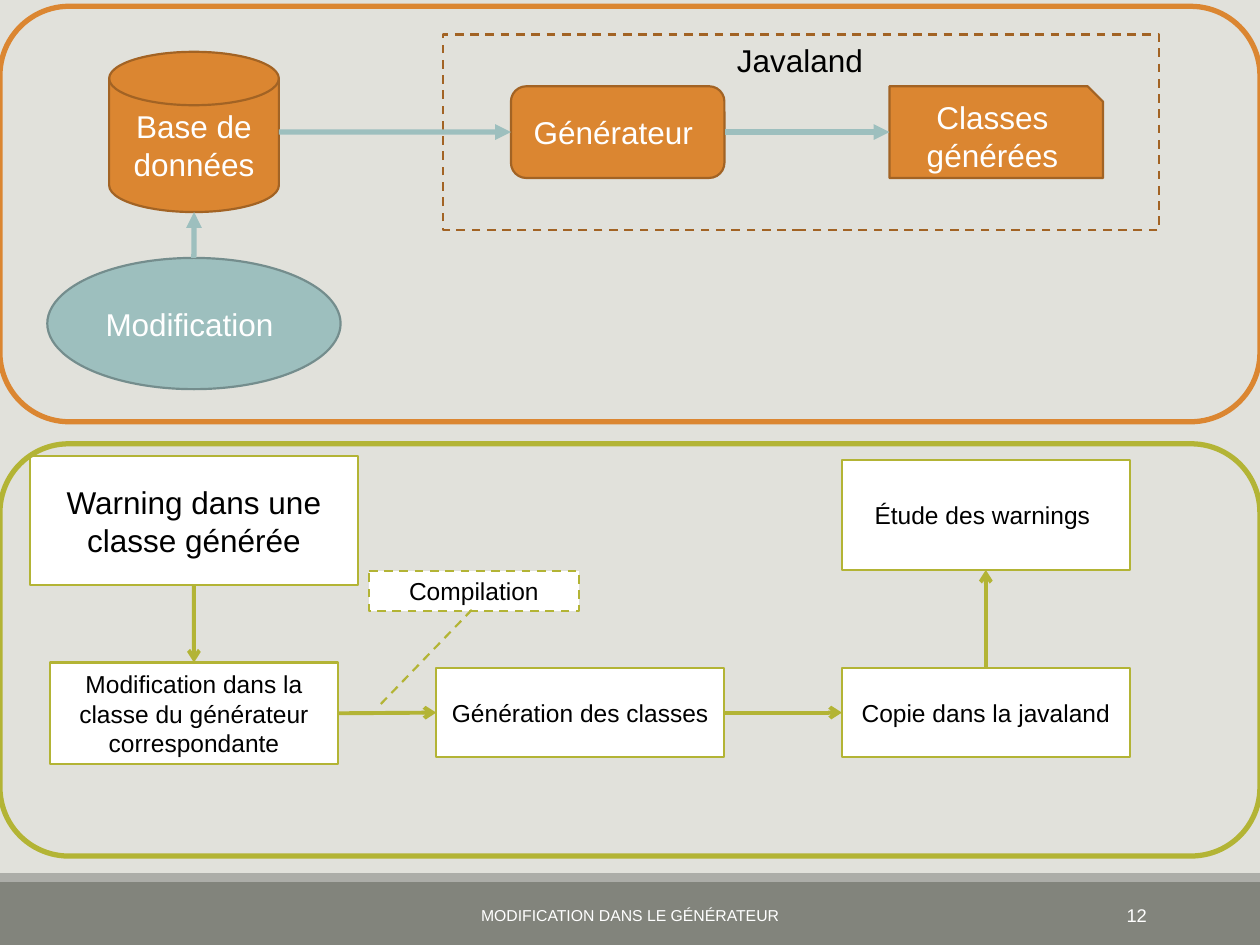
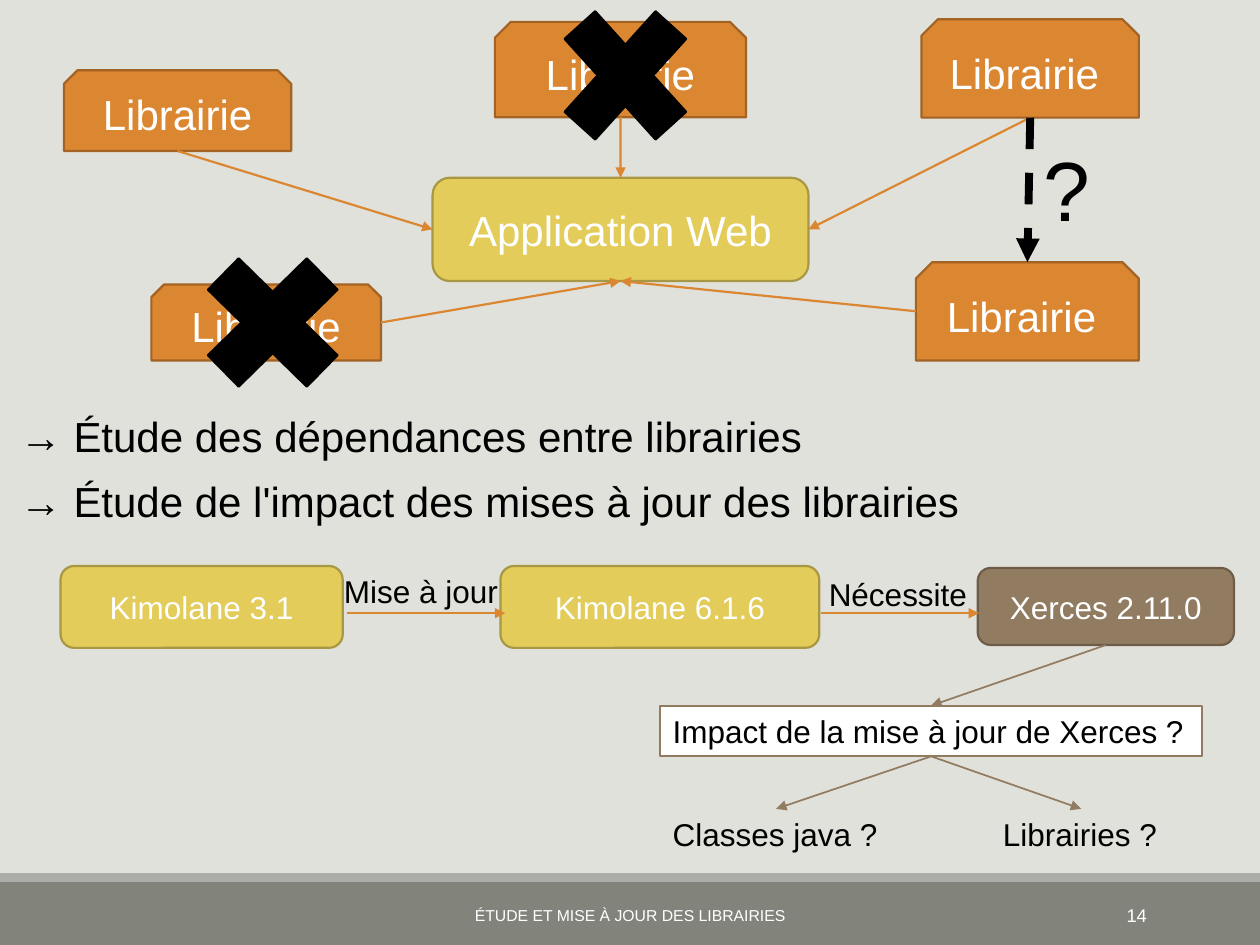
from dataclasses import dataclass

from lxml import etree
from pptx import Presentation
from pptx.dml.color import RGBColor
from pptx.enum.dml import MSO_LINE
from pptx.enum.shapes import MSO_CONNECTOR, MSO_SHAPE
from pptx.enum.text import MSO_ANCHOR, MSO_AUTO_SIZE, PP_ALIGN
from pptx.oxml.ns import qn
from pptx.util import Pt

RECT, ROUND = MSO_SHAPE.RECTANGLE, MSO_SHAPE.ROUNDED_RECTANGLE
DISK, OVAL = MSO_SHAPE.FLOWCHART_MAGNETIC_DISK, MSO_SHAPE.OVAL
SNIP_ONE, SNIP_TWO = MSO_SHAPE.SNIP_1_RECTANGLE, MSO_SHAPE.SNIP_2_SAME_RECTANGLE
CROSS, CALLOUT = MSO_SHAPE.MATH_MULTIPLY, MSO_SHAPE.LINE_CALLOUT_1
STRAIGHT, DASH = MSO_CONNECTOR.STRAIGHT, MSO_LINE.DASH
LEFT, CENTER, RIGHT = PP_ALIGN.LEFT, PP_ALIGN.CENTER, PP_ALIGN.RIGHT
TOP, MIDDLE = MSO_ANCHOR.TOP, MSO_ANCHOR.MIDDLE
FIT, FIXED = MSO_AUTO_SIZE.SHAPE_TO_FIT_TEXT, MSO_AUTO_SIZE.NONE


@dataclass(frozen=True)
class Theme:
    font: str = "Arial"
    background: str = "E1E1DB"
    band: str = "82847C"
    band_edge: str = "ACADA8"
    white: str = "FFFFFF"
    black: str = "000000"
    orange: str = "DB8631"
    orange_edge: str = "A26324"
    teal: str = "9DBFBE"
    teal_edge: str = "748D8D"
    green: str = "B3B435"
    yellow: str = "E3CC5A"
    yellow_edge: str = "A89743"
    brown: str = "927C61"
    brown_edge: str = "6C5C48"
    footer: float = 9
    number: float = 10.5
    small: float = 14
    body: float = 18
    large: float = 24
    mark: float = 48
    edge: float = 1.25


T = Theme()
# Fractions of width and height at which a connector meets a shape
SIDES = {"top": (0.5, 0), "left": (0, 0.5), "bottom": (0.5, 1), "right": (1, 0.5)}


def add_text(s, text, x, y, w, h, kind=None, fill=None, line=None, width=T.edge,
             dash=None, size=T.body, color=T.black, align=CENTER, anchor=MIDDLE,
             wrap=True):
    """Add a preset shape, or a text box when kind is None, with its text."""
    box = [Pt(v) for v in (x, y, w, h)]
    if kind is None:
        sp = s.shapes.add_textbox(*box)
    else:
        sp = s.shapes.add_shape(kind, *box)
        sp.shadow.inherit = False
    if fill:
        sp.fill.solid()
        sp.fill.fore_color.rgb = RGBColor.from_string(fill)
    else:
        sp.fill.background()
    if line:
        sp.line.color.rgb = RGBColor.from_string(line)
        sp.line.width = Pt(width)
        if dash:
            sp.line.dash_style = dash
    else:
        sp.line.fill.background()
    if text:
        tf = sp.text_frame
        tf.word_wrap = wrap
        tf.auto_size = FIXED if wrap else FIT
        tf.vertical_anchor = anchor
        p = tf.paragraphs[0]
        p.alignment = align
        r = p.add_run()
        r.text = text
        r.font.name = T.font
        r.font.size = Pt(size)
        r.font.color.rgb = RGBColor.from_string(color)
    return sp


def add_arrow(s, start, end, color, width, head="triangle", dash=None):
    """Draw an arrow; each end is an (x, y) point or a (shape, side) pair."""
    points = []
    for a, b in (start, end):
        if b in SIDES:
            fx, fy = SIDES[b]
            points += [int(a.left + a.width * fx), int(a.top + a.height * fy)]
        else:
            points += [Pt(a), Pt(b)]
    cx = s.shapes.add_connector(STRAIGHT, *points)
    cx.line.color.rgb = RGBColor.from_string(color)
    cx.line.width = Pt(width)
    if dash:
        cx.line.dash_style = dash
    etree.SubElement(cx.line._get_or_add_ln(), qn("a:tailEnd"), type=head)
    etree.SubElement(cx._element.spPr, qn("a:effectLst"))


prs = Presentation()
prs.slide_width, prs.slide_height = Pt(720), Pt(540)
bg = prs.slide_master.background.fill
bg.solid()
bg.fore_color.rgb = RGBColor.from_string(T.background)

slides = []
for footer, number in (("MODIFICATION DANS LE GÉNÉRATEUR", "12"),
                       ("ÉTUDE ET MISE À JOUR DES LIBRAIRIES", "14")):
    s = prs.slides.add_slide(prs.slide_layouts[6])
    add_text(s, "", 0, 504, 720, 36, RECT, fill=T.band)
    add_text(s, "", 0, 499, 720, 5, RECT, fill=T.band_edge)
    add_text(s, footer, 217.5, 508.5, 285, 29, size=T.footer, color=T.white)
    add_text(s, number, 584.5, 508.5, 78, 29, size=T.number, color=T.white, align=RIGHT)
    slides.append(s)

orange = dict(fill=T.orange, line=T.orange_edge, color=T.white)
yellow = dict(kind=ROUND, fill=T.yellow, line=T.yellow_edge, color=T.white)
label = dict(align=LEFT, anchor=TOP, wrap=False)

# Slide 1: generation chain above, handling of a warning below
s = slides[0]
database = add_text(s, "Base de données", 62.4, 29.6, 97, 91.6, DISK, **orange)
generator = add_text(s, "Générateur ", 292, 49.3, 122, 52.4, ROUND, **orange)
classes = add_text(s, "Classes générées", 508.3, 49.3, 122, 52.4, SNIP_ONE, **orange)
add_text(s, "", 253.2, 19.7, 409.2, 111.7, RECT, line=T.orange_edge, dash=DASH)
add_text(s, "Javaland", 414, 19.7, 87, 29, **label)
change = add_text(s, "Modification ", 27, 147.4, 167.6, 75, OVAL,
                  fill=T.teal, line=T.teal_edge, color=T.white)
for start, end in (((database, "right"), (generator, "left")),
                   ((generator, "right"), (classes, "left")),
                   ((change, "top"), (database, "bottom"))):
    add_arrow(s, start, end, T.teal, 3)

steps = {}
for name, text, x, y, w, h, size in (
        ("fix", "Modification dans la classe du générateur correspondante",
         28.6, 378.6, 164.5, 58, T.small),
        ("generate", "Génération des classes", 249.3, 381.7, 164.5, 51, T.small),
        ("copy", "Copie dans la javaland", 481.1, 381.7, 164.5, 51, T.small),
        ("warning", "Warning dans une classe générée", 17.2, 260.8, 187.2, 73.4, T.body),
        ("study", "Étude des warnings ", 481.1, 262.9, 164.5, 62.8, T.small)):
    steps[name] = add_text(s, text, x, y, w, h, RECT, fill=T.white, line=T.green, size=size)
for a, side_a, b, side_b in (("warning", "bottom", "fix", "top"),
                             ("fix", "right", "generate", "left"),
                             ("generate", "right", "copy", "left"),
                             ("copy", "top", "study", "bottom")):
    add_arrow(s, (steps[a], side_a), (steps[b], side_b), T.green, 2.25, "arrow")

compilation = add_text(s, "Compilation", 210.8, 326.3, 120, 22.9, CALLOUT,
                       fill=T.white, line=T.green, dash=DASH, size=T.small)
for i, value in enumerate((0.97, 0.49, 3.41, 0.04)):
    compilation.adjustments[i] = value
for y, h, color in ((3.6, 237.4, T.orange), (253.6, 235.6, T.green)):
    add_text(s, "", 0, y, 720, h, ROUND, line=color, width=3)

# Slide 2: libraries around the application, then the effect of an update
s = slides[1]
app = add_text(s, "Application Web", 247.2, 101.6, 214.8, 59, size=T.large, **yellow)
libraries = []
for text, x, y, w, h, side, app_side in (
        ("Librairie ", 526.6, 11, 124.2, 56.2, "bottom", "right"),
        ("Librairie", 86.5, 162.6, 131.2, 43.4, "right", "bottom"),
        ("Librairie ", 523.4, 149.8, 127.4, 56.2, "left", "bottom"),
        ("Librairie", 36.6, 40.2, 129.8, 46.1, "bottom", "left"),
        ("Librairie", 282.8, 12.5, 143.5, 54.5, "bottom", "top")):
    library = add_text(s, text, x, y, w, h, SNIP_TWO, size=T.large, **orange)
    add_arrow(s, (library, side), (app, app_side), T.orange, T.edge)
    libraries.append(library)
for x, y, w, h in ((307.4, -12.2, 100, 110.6), (101.5, 131, 108.7, 106.6)):
    add_text(s, "", x, y, w, h, CROSS, fill=T.black, line=T.black)
add_arrow(s, (libraries[0], "bottom"), (libraries[2], "top"), T.black, 4.5, dash=DASH)
add_text(s, "?", 589, 75, 50, 65.5, size=T.mark, **label)

for text, y in (("→ Étude des dépendances entre librairies", 231.2),
                ("→ Étude de l'impact des mises à jour des librairies", 268.4)):
    add_text(s, text, 4.3, y, 557, 36, size=T.large, **label)

add_text(s, "Kimolane 3.1", 34.6, 323.4, 161.3, 46.8, **yellow)
add_text(s, "Kimolane 6.1.6", 286, 323.4, 182.2, 46.8, **yellow)
parser = add_text(s, "Xerces 2.11.0", 558.7, 324.6, 146.4, 44, ROUND,
                  fill=T.brown, line=T.brown_edge, color=T.white)
for text, x, y, w, start, end in (("Mise à jour", 189.4, 323.4, 108.7, 198, 288.7),
                                  ("Nécessite", 466.5, 325.3, 94.3, 469.4, 559.5)):
    add_arrow(s, (start, 350.4), (end, 350.4), T.orange, 1)
    add_text(s, text, x, y, w, 29, **label)

impact = add_text(s, "Impact de la mise à jour de Xerces ?", 377.3, 403.2, 309.6, 29,
                  RECT, fill=T.white, line=T.brown, **label)
add_arrow(s, (parser, "bottom"), (impact, "top"), T.brown, 1)
for text, x, w, tip in (("Classes java ?", 377.3, 132.5, 443.5),
                        ("Librairies ?", 566, 103.7, 617.8)):
    add_text(s, text, x, 462.2, w, 29, **label)
    add_arrow(s, (impact, "bottom"), (tip, 462.2), T.brown, 1)

prs.save("out.pptx")
